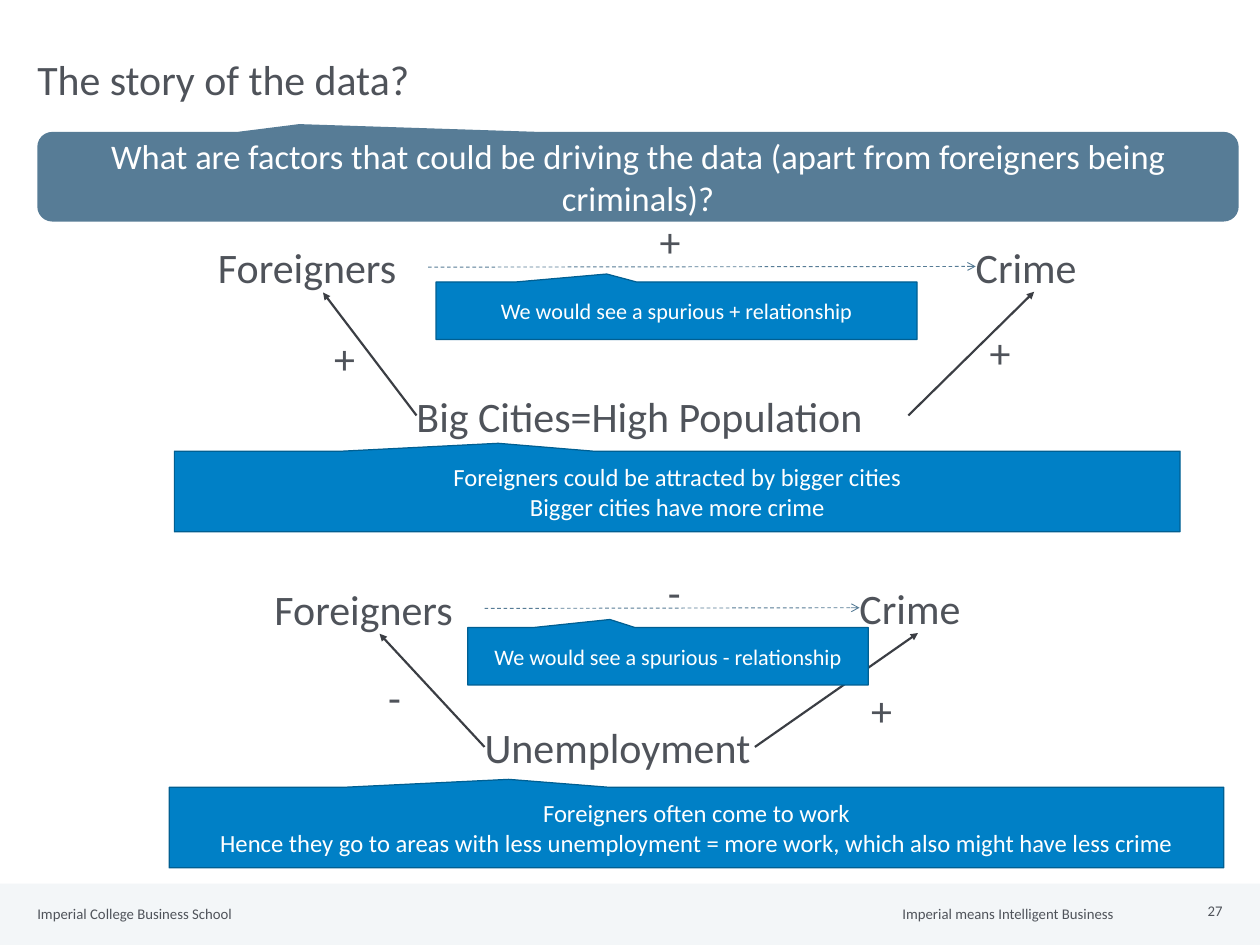
from lxml import etree
from pptx import Presentation
from pptx.dml.color import RGBColor
from pptx.enum.dml import MSO_LINE
from pptx.enum.shapes import MSO_CONNECTOR, MSO_SHAPE
from pptx.enum.text import MSO_ANCHOR, PP_ALIGN
from pptx.oxml.ns import qn
from pptx.util import Cm, Pt

LEFT, CENTER, RIGHT = PP_ALIGN.LEFT, PP_ALIGN.CENTER, PP_ALIGN.RIGHT
TOP, MIDDLE = MSO_ANCHOR.TOP, MSO_ANCHOR.MIDDLE
RECTANGLE = MSO_SHAPE.RECTANGLE
CALLOUT = MSO_SHAPE.RECTANGULAR_CALLOUT
ROUND_CALLOUT = MSO_SHAPE.ROUNDED_RECTANGULAR_CALLOUT
STRAIGHT, DASH = MSO_CONNECTOR.STRAIGHT, MSO_LINE.DASH
SITE_LEFT, SITE_BOTTOM, SITE_RIGHT = 1, 2, 3

SLIDE_WIDTH, SLIDE_HEIGHT = 36.12, 27.08
PANEL_HEIGHT = 25.32
NODE_HEIGHT = 1.45
SIGN_WIDTHS = {"+": 0.81, "-": 0.41}

THEME = {
    "font": "Calibri",
    "background": "F3F6F8",
    "panel": "FFFFFF",
    "text": "4F535A",
    "inverse": "FFFFFF",
    "banner": "577C96",
    "callout": "0080C6",
    "callout_line": "005F92",
    "cause_line": "3B3E44",
    "title_size": 34,
    "node_size": 34.1,
    "banner_size": 28,
    "note_size": 20,
    "claim_size": 18,
    "footer_size": 12,
}

TITLE = ("The story of the data?", (1.07, 1.63, 33.99, 1.55))
BANNER = (
    "What are factors that could be driving the data (apart from foreigners being criminals)?",
    (1.07, 3.78, 34.44, 2.57),
    (-0.282, -0.587, 0.167),
)
FOOTERS = [
    ("Imperial College Business School", (1.07, 25.93, 9.73, 0.51), LEFT),
    ("Imperial means Intelligent Business", (22.2, 25.93, 9.73, 0.51), RIGHT),
    ("27", (32.84, 25.85, 2.21, 0.61), RIGHT),
]
DIAGRAMS = [
    {
        "group": ("Foreigners", 6.25, 6.93, 6.02),
        "outcome": ("Crime", 27.97, 6.91, 3.35),
        "cause": ("Big Cities=High Population", 11.94, 11.18, 14.1),
        "signs": [("+", 9.58, 9.53), ("+", 28.37, 9.37), ("+", 18.91, 6.17)],
        "claim": ("We would see a spurious + relationship", (12.5, 8.08, 13.79, 1.65)),
        "note": (
            "Foreigners could be attracted by bigger cities\nBigger cities have more crime",
            (5, 12.93, 28.83, 2.31),
        ),
    },
    {
        "group": ("Foreigners", 7.87, 16.71, 6.02),
        "outcome": ("Crime", 24.64, 16.69, 3.35),
        "cause": ("Unemployment", 13.89, 20.68, 7.75),
        "signs": [("-", 11.13, 19.23), ("+", 24.97, 19.61), ("-", 19.15, 16.23)],
        "claim": ("We would see a spurious - relationship", (13.41, 17.98, 11.48, 1.65)),
        "note": (
            "Foreigners often come to work\n"
            "Hence they go to areas with less unemployment = more work, which also might have less crime",
            (4.85, 22.56, 30.23, 2.31),
        ),
    },
]
CLAIM_TIP = (-0.145, -0.638)
NOTE_TIP = (-0.178, -0.598)


def color(name):
    return RGBColor.from_string(THEME[name])


def write(shape, text, size, text_color="text", align=LEFT, anchor=TOP):
    frame = shape.text_frame
    frame.text = text
    frame.word_wrap = True
    frame.vertical_anchor = anchor
    for paragraph in frame.paragraphs:
        paragraph.alignment = align
        for run in paragraph.runs:
            run.font.name = THEME["font"]
            run.font.size = Pt(THEME[size])
            run.font.color.rgb = color(text_color)


def add_text(slide, text, box, size, align=LEFT):
    shape = slide.shapes.add_textbox(*map(Cm, box))
    frame = shape.text_frame
    frame.margin_left = frame.margin_right = frame.margin_top = frame.margin_bottom = 0
    write(shape, text, size, align=align)
    return shape


def add_block(slide, kind, box, fill, line=None, tip=()):
    shape = slide.shapes.add_shape(kind, *map(Cm, box))
    shape.shadow.inherit = False
    shape.fill.solid()
    shape.fill.fore_color.rgb = color(fill)
    if line:
        shape.line.color.rgb = color(line)
        shape.line.width = Pt(1)
    else:
        shape.line.fill.background()
    for index, value in enumerate(tip):
        shape.adjustments[index] = value
    return shape


def add_callout(slide, text, box, size, tip):
    shape = add_block(slide, CALLOUT, box, "callout", "callout_line", tip)
    write(shape, text, size, "inverse", CENTER, MIDDLE)


def add_arrow(slide, start, start_site, end, end_site, line, width, head, dash=None):
    connector = slide.shapes.add_connector(STRAIGHT, 0, 0, 0, 0)
    connector.begin_connect(start, start_site)
    connector.end_connect(end, end_site)
    connector.line.color.rgb = color(line)
    connector.line.width = Pt(width)
    if dash:
        connector.line.dash_style = dash
    properties = connector._element.spPr
    etree.SubElement(properties.find(qn("a:ln")), qn("a:tailEnd"), type=head)
    etree.SubElement(properties, qn("a:effectLst"))


def add_node(slide, text, left, top, width):
    return add_text(slide, text, (left, top, width, NODE_HEIGHT), "node_size")


def add_diagram(slide, diagram):
    group, outcome, cause = (
        add_node(slide, *diagram[role]) for role in ("group", "outcome", "cause")
    )
    add_arrow(slide, cause, SITE_LEFT, group, SITE_BOTTOM, "cause_line", 1.75, "triangle")
    add_arrow(slide, cause, SITE_RIGHT, outcome, SITE_BOTTOM, "cause_line", 1.75, "triangle")
    add_arrow(slide, group, SITE_RIGHT, outcome, SITE_LEFT, "banner", 0.75, "arrow", DASH)
    for sign, left, top in diagram["signs"]:
        add_node(slide, sign, left, top, SIGN_WIDTHS[sign])
    add_callout(slide, *diagram["claim"], "claim_size", CLAIM_TIP)
    add_callout(slide, *diagram["note"], "note_size", NOTE_TIP)


def main():
    presentation = Presentation()
    presentation.slide_width = Cm(SLIDE_WIDTH)
    presentation.slide_height = Cm(SLIDE_HEIGHT)
    slide = presentation.slides.add_slide(presentation.slide_layouts[6])
    slide.background.fill.solid()
    slide.background.fill.fore_color.rgb = color("background")

    for text, box, align in FOOTERS:
        add_text(slide, text, box, "footer_size", align)
    add_block(slide, RECTANGLE, (0, 0, SLIDE_WIDTH, PANEL_HEIGHT), "panel")

    title = add_text(slide, *TITLE, "title_size")
    title.text_frame.paragraphs[0].line_spacing = Pt(38)

    text, box, tip = BANNER
    banner = add_block(slide, ROUND_CALLOUT, box, "banner", tip=tip)
    write(banner, text, "banner_size", "inverse", CENTER, MIDDLE)

    for diagram in DIAGRAMS:
        add_diagram(slide, diagram)
    presentation.save("out.pptx")


if __name__ == "__main__":
    main()
